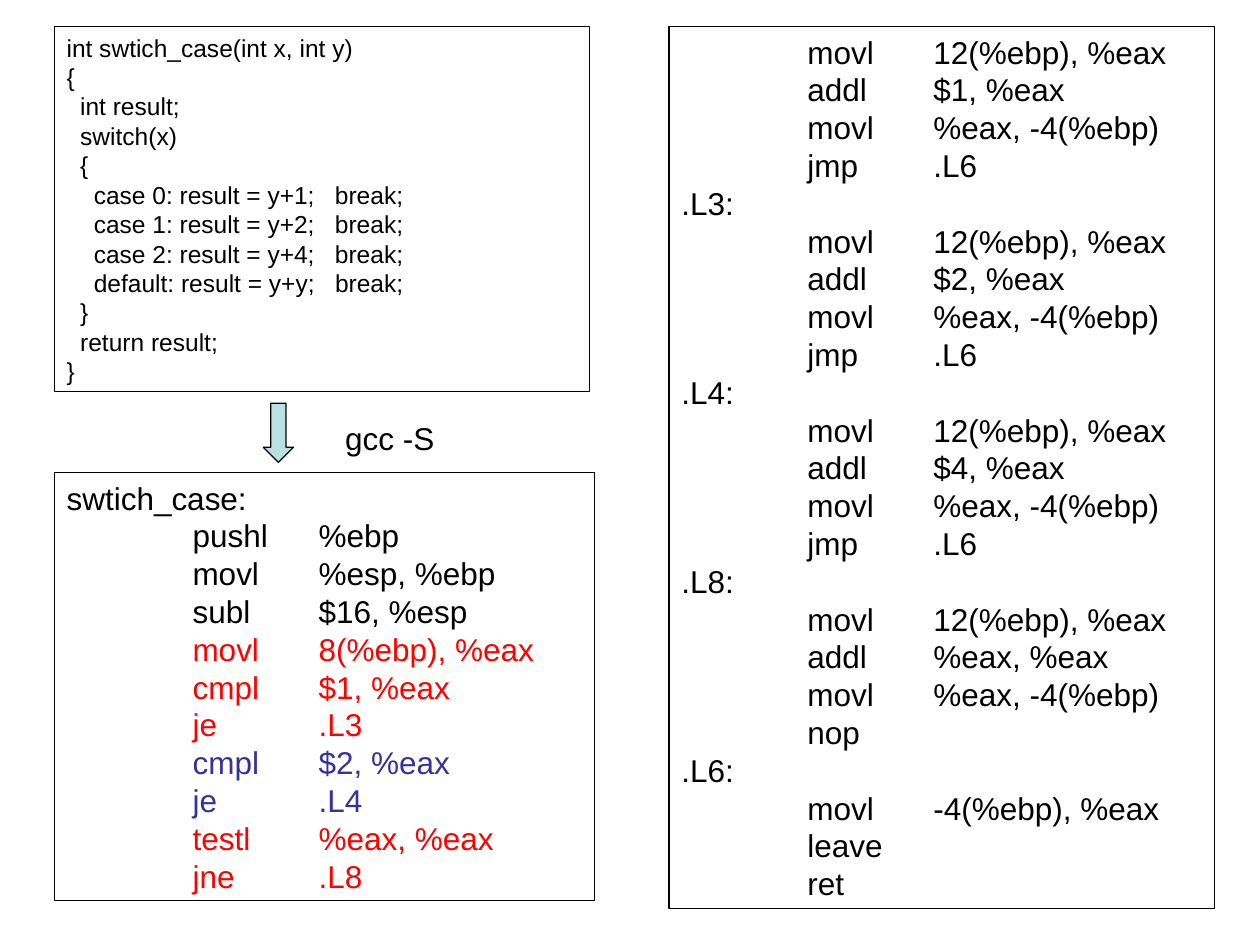
import dataclasses

import pptx
import pptx.dml.color
import pptx.enum.shapes
import pptx.enum.text
import pptx.oxml.ns
import pptx.util
from lxml import etree
from pptx.util import Inches


@dataclasses.dataclass(frozen=True)
class Theme:
    font: str = "Arial"
    source_size: int = 14
    assembly_size: int = 18
    line_width: float = 0.75
    black: str = "000000"
    red: str = "FF0000"
    blue: str = "333399"
    arrow_fill: str = "BBE0E3"


THEME = Theme()

SOURCE_CODE = """int swtich_case(int x, int y)
{
  int result;
  switch(x)
  {
    case 0: result = y+1;   break;
    case 1: result = y+2;   break;
    case 2: result = y+4;   break;
    default: result = y+y;   break;
  }
  return result;
}"""

DISPATCH_GROUPS = [
    (THEME.black, ["swtich_case:", "\tpushl\t%ebp", "\tmovl\t%esp, %ebp",
                   "\tsubl\t$16, %esp"]),
    (THEME.red, ["\tmovl\t8(%ebp), %eax", "\tcmpl\t$1, %eax", "\tje\t.L3"]),
    (THEME.blue, ["\tcmpl\t$2, %eax", "\tje\t.L4"]),
    (THEME.red, ["\ttestl\t%eax, %eax", "\tjne\t.L8"]),
]

# Added operand, closing instruction and the label that follows each case
CASES = [
    ("$1", "jmp\t.L6", ".L3:"),
    ("$2", "jmp\t.L6", ".L4:"),
    ("$4", "jmp\t.L6", ".L8:"),
    ("%eax", "nop", ".L6:"),
]


def color(value):
    return pptx.dml.color.RGBColor.from_string(value)


def case_lines():
    lines = []
    for operand, closing, next_label in CASES:
        lines += ["\tmovl\t12(%ebp), %eax", f"\taddl\t{operand}, %eax",
                  "\tmovl\t%eax, -4(%ebp)", f"\t{closing}", next_label]
    return lines + ["\tmovl\t-4(%ebp), %eax", "\tleave", "\tret"]


def add_tab_stops(paragraph):
    """Set one left tab stop at each inch."""
    properties = paragraph._p.get_or_add_pPr()
    tab_list = etree.SubElement(properties, pptx.oxml.ns.qn("a:tabLst"))
    for inch in range(1, 8):
        etree.SubElement(tab_list, pptx.oxml.ns.qn("a:tab"),
                         pos=str(Inches(inch)), algn="l")


def write_lines(text_frame, groups, size):
    """Write groups of (color, lines), one paragraph a line."""
    frame_format = {
        "word_wrap": True,
        "vertical_anchor": pptx.enum.text.MSO_ANCHOR.TOP,
        "margin_left": Inches(0.1),
        "margin_right": Inches(0.1),
        "margin_top": Inches(0.05),
        "margin_bottom": Inches(0.05),
    }
    for name, value in frame_format.items():
        setattr(text_frame, name, value)

    colored_lines = [(value, line) for value, lines in groups for line in lines]
    for index, (value, line) in enumerate(colored_lines):
        paragraph = text_frame.add_paragraph() if index else text_frame.paragraphs[0]
        paragraph.alignment = pptx.enum.text.PP_ALIGN.LEFT
        add_tab_stops(paragraph)
        run = paragraph.add_run()
        run.text = line
        font_format = {"name": THEME.font, "size": pptx.util.Pt(size)}
        for name, setting in font_format.items():
            setattr(run.font, name, setting)
        run.font.color.rgb = color(value)


def add_outlined_shape(slide, kind, box):
    shape = slide.shapes.add_shape(kind, *box)
    shape.shadow.inherit = False
    shape.line.color.rgb = color(THEME.black)
    shape.line.width = pptx.util.Pt(THEME.line_width)
    return shape


def add_code_panel(slide, box, groups, size):
    panel = add_outlined_shape(slide, pptx.enum.shapes.MSO_SHAPE.RECTANGLE, box)
    panel.fill.background()
    write_lines(panel.text_frame, groups, size)


def add_compile_step(slide, box):
    """Place the arrow at the left of the box and the command at its right."""
    left, top, width, height = box
    arrow = add_outlined_shape(slide, pptx.enum.shapes.MSO_SHAPE.DOWN_ARROW,
                               (left, top, Inches(0.24), height))
    arrow.fill.solid()
    arrow.fill.fore_color.rgb = color(THEME.arrow_fill)
    offset = Inches(0.55)
    command = slide.shapes.add_textbox(left + offset, top + Inches(0.08),
                                       width - offset, Inches(0.4))
    write_lines(command.text_frame, [(THEME.black, ["gcc -S"])],
                THEME.assembly_size)


def main():
    presentation = pptx.Presentation()
    presentation.slide_width = Inches(10)
    presentation.slide_height = Inches(7.5)
    slide = presentation.slides.add_slide(presentation.slide_layouts[6])

    left, top = Inches(0.43), Inches(0.21)
    add_code_panel(slide, (Inches(5.31), top, Inches(4.33), Inches(7)),
                   [(THEME.black, case_lines())], THEME.assembly_size)
    add_code_panel(slide, (left, Inches(3.75), Inches(4.29), Inches(3.4)),
                   DISPATCH_GROUPS, THEME.assembly_size)
    add_code_panel(slide, (left, top, Inches(4.25), Inches(2.9)),
                   [(THEME.black, SOURCE_CODE.splitlines())], THEME.source_size)
    add_compile_step(slide, (Inches(2.09), Inches(3.2), Inches(1.73), Inches(0.47)))
    presentation.save("out.pptx")


if __name__ == "__main__":
    main()
